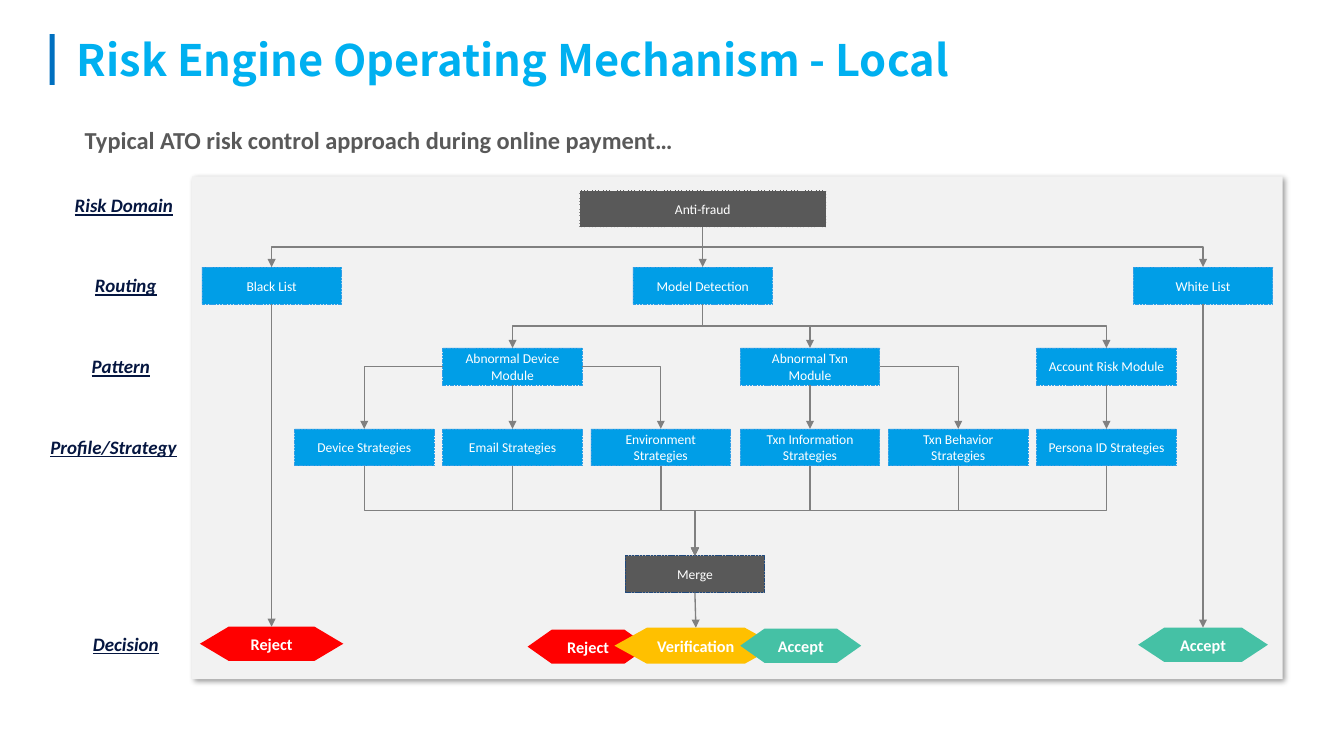
from dataclasses import dataclass

from lxml import etree
from pptx import Presentation
from pptx.dml.color import RGBColor
from pptx.enum.dml import MSO_LINE
from pptx.enum.shapes import MSO_CONNECTOR, MSO_SHAPE
from pptx.enum.text import MSO_ANCHOR, PP_ALIGN
from pptx.oxml.ns import qn
from pptx.util import Pt

PX = 9144  # EMU per px, 100 px to the inch
RECT, HEXAGON = MSO_SHAPE.RECTANGLE, MSO_SHAPE.FLOWCHART_PREPARATION
STRAIGHT, ELBOW = MSO_CONNECTOR.STRAIGHT, MSO_CONNECTOR.ELBOW
SYS_DASH = MSO_LINE.SQUARE_DOT
MIDDLE, TOP_ANCHOR = MSO_ANCHOR.MIDDLE, MSO_ANCHOR.TOP
LEFT_ALIGN, CENTER = PP_ALIGN.LEFT, PP_ALIGN.CENTER
TOP, LEFT, BOTTOM, RIGHT = range(4)  # connection sites


@dataclass(frozen=True)
class Theme:
    title: str = "00B0F0"
    accent: str = "0070C0"
    panel: str = "F2F2F2"
    dark: str = "595959"
    navy: str = "1F497D"
    blue: str = "009EE7"
    blue_edge: str = "319EE6"
    arrow: str = "808080"
    label: str = "051640"
    white: str = "FFFFFF"
    red: str = "FF0000"
    amber: str = "FFC000"
    green: str = "45C1A5"
    font: str = "Calibri"
    title_font: str = "Noto Sans CJK SC"
    title_size: int = 32
    subtitle_size: int = 18
    label_size: int = 14
    decision_size: int = 12
    box_size: int = 10


THEME = Theme()

BOX_W, BOX_H = 143, 38
ROUTING_Y, PATTERN_Y, STRATEGY_Y, MERGE_Y = 274, 357, 440, 570
COLUMNS = [round(302 + 152.2 * i) for i in range(6)]
STRATEGIES = ["Device Strategies", "Email Strategies", "Environment Strategies",
              "Txn Information Strategies", "Txn Behavior Strategies",
              "Persona ID Strategies"]
PATTERNS = {1: "Abnormal Device Module", 3: "Abnormal Txn Module",
            5: "Account Risk Module"}
ROW_LABELS = [("Risk Domain", 61, 194, 132), ("Routing", 63, 276, 132),
              ("Pattern", 51, 359, 146), ("Profile/Strategy", 28, 442, 177),
              ("Decision", 63, 644, 132)]


def emu(*lengths):
    return [round(n * PX) for n in lengths]


def rgb(color):
    return RGBColor.from_string(color)


def write(sp, text, size, color, font=THEME.font, align=CENTER, anchor=MIDDLE,
          bold=False, italic=False, underline=False):
    tf = sp.text_frame
    tf.text = text
    tf.word_wrap = True
    tf.vertical_anchor = anchor
    p = tf.paragraphs[0]
    p.alignment = align
    f = p.runs[0].font
    f.name, f.size, f.color.rgb = font, Pt(size), rgb(color)
    f.bold, f.italic, f.underline = bold, italic, underline


def add_text(s, text, at, size, color, **style):
    write(s.shapes.add_textbox(*emu(*at)), text, size, color, **style)


def add_block(s, kind, at, fill):
    sp = s.shapes.add_shape(kind, *emu(*at))
    sp.shadow.inherit = False
    sp.fill.solid()
    sp.fill.fore_color.rgb = rgb(fill)
    sp.line.fill.background()
    return sp


def add_panel(s, at):
    """Add the grey backdrop with its soft drop shadow."""
    sp = add_block(s, RECT, at, THEME.panel)
    effects = sp._element.spPr.find(qn("a:effectLst"))
    shadow = etree.SubElement(effects, qn("a:outerShdw"), blurRad=str(Pt(4)),
                              dist=str(Pt(3)), dir="2700000", rotWithShape="0")
    color = etree.SubElement(shadow, qn("a:srgbClr"), val="000000")
    etree.SubElement(color, qn("a:alpha"), val="40000")


def add_box(s, text, x, y, w=BOX_W, fill=THEME.blue, edge=THEME.blue_edge):
    sp = add_block(s, RECT, (x, y, w, BOX_H), fill)
    sp.line.color.rgb = rgb(edge)
    sp.line.width = Pt(0.5)
    sp.line.dash_style = SYS_DASH
    write(sp, text, THEME.box_size, THEME.white)
    return sp


def add_decision(s, text, at, fill):
    sp = add_block(s, HEXAGON, at, fill)
    write(sp, text, THEME.decision_size, THEME.white, bold=True)
    sp.text_frame.margin_left = sp.text_frame.margin_right = 0
    return sp


def add_arrow(s, kind, start, start_site, end):
    """Glue an arrow from a site of one shape to the top of another."""
    c = s.shapes.add_connector(kind, 0, 0, 0, 0)
    c.begin_connect(start, start_site)
    c.end_connect(end, TOP)
    c.line.color.rgb = rgb(THEME.arrow)
    c.line.width = Pt(1)
    etree.SubElement(c.line._ln, qn("a:tailEnd"), type="triangle")
    etree.SubElement(c._element.spPr, qn("a:effectLst"))
    return c


def add_drop(s, start, end):
    add_arrow(s, STRAIGHT, start, BOTTOM, end)


def add_branch(s, start, end):
    """Run down, across and down again: an elbow turned by a quarter."""
    c = add_arrow(s, ELBOW, start, BOTTOM, end)
    x1, y1, x2, y2 = c.begin_x, c.begin_y, c.end_x, c.end_y
    across, down = abs(x2 - x1), y2 - y1
    xfrm = c._element.spPr.find(qn("a:xfrm"))
    for flip in ("flipH", "flipV"):
        xfrm.attrib.pop(flip, None)
    if x2 < x1:
        xfrm.set("rot", "5400000")
    else:
        xfrm.set("rot", "16200000")
        xfrm.set("flipH", "1")
    c.left, c.top = (x1 + x2 - down) // 2, (y1 + y2 - across) // 2
    c.width, c.height = down, across


def add_side_branch(s, start, site, end):
    """Run sideways, then down."""
    c = add_arrow(s, ELBOW, start, site, end)
    c._element.spPr.find(qn("a:prstGeom")).set("prst", "bentConnector2")


def add_headings(s):
    add_block(s, RECT, (51, 35, 5, 52), THEME.accent)
    add_text(s, "Risk Engine Operating Mechanism - Local", (69, 26, 1240, 69),
             THEME.title_size, THEME.title, font=THEME.title_font,
             align=LEFT_ALIGN, bold=True)
    add_text(s, "Typical ATO risk control approach during online payment…",
             (77, 123, 1098, 40), THEME.subtitle_size, THEME.dark,
             align=LEFT_ALIGN, anchor=TOP_ANCHOR, bold=True)
    for text, x, y, w in ROW_LABELS:
        add_text(s, text, (x, y, w, 34), THEME.label_size, THEME.label,
                 anchor=TOP_ANCHOR, bold=True, italic=True, underline=True)


def add_flow(s):
    domain = add_box(s, "Anti-fraud", 594, 195, 253, THEME.dark, THEME.panel)
    black = add_box(s, "Black List", 207, ROUTING_Y)
    white = add_box(s, "White List", 1162, ROUTING_Y)
    model = add_box(s, "Model Detection", 649, ROUTING_Y)
    patterns = {i: add_box(s, text, COLUMNS[i], PATTERN_Y)
                for i, text in PATTERNS.items()}
    strategies = [add_box(s, text, x, STRATEGY_Y)
                  for text, x in zip(STRATEGIES, COLUMNS)]
    merge = add_box(s, "Merge", 641, MERGE_Y, fill=THEME.dark, edge=THEME.navy)
    reject = add_decision(s, "Reject", (205, 643, 147, 35), THEME.red)
    add_decision(s, "Reject", (541, 646, 124, 35), THEME.red)
    verify = add_decision(s, "Verification", (630, 644, 167, 37), THEME.amber)
    add_decision(s, "Accept", (759, 645, 124, 35), THEME.green)
    accept = add_decision(s, "Accept", (1167, 644, 133, 35), THEME.green)

    for start, end in ((domain, model), (black, reject), (white, accept),
                       (merge, verify)):
        add_drop(s, start, end)
    for target in (black, white):
        add_branch(s, domain, target)
    for i, pattern in patterns.items():
        add_branch(s, model, pattern)
        add_drop(s, pattern, strategies[i])
    for i, site, target in ((1, LEFT, 0), (1, RIGHT, 2), (3, RIGHT, 4)):
        add_side_branch(s, patterns[i], site, strategies[target])
    for strategy in strategies:
        add_branch(s, strategy, merge)


def main():
    prs = Presentation()
    prs.slide_width, prs.slide_height = emu(1378, 750)
    s = prs.slides.add_slide(prs.slide_layouts[6])
    add_panel(s, (197, 181, 1118, 516))
    add_headings(s)
    add_flow(s)
    prs.save("out.pptx")


if __name__ == "__main__":
    main()
